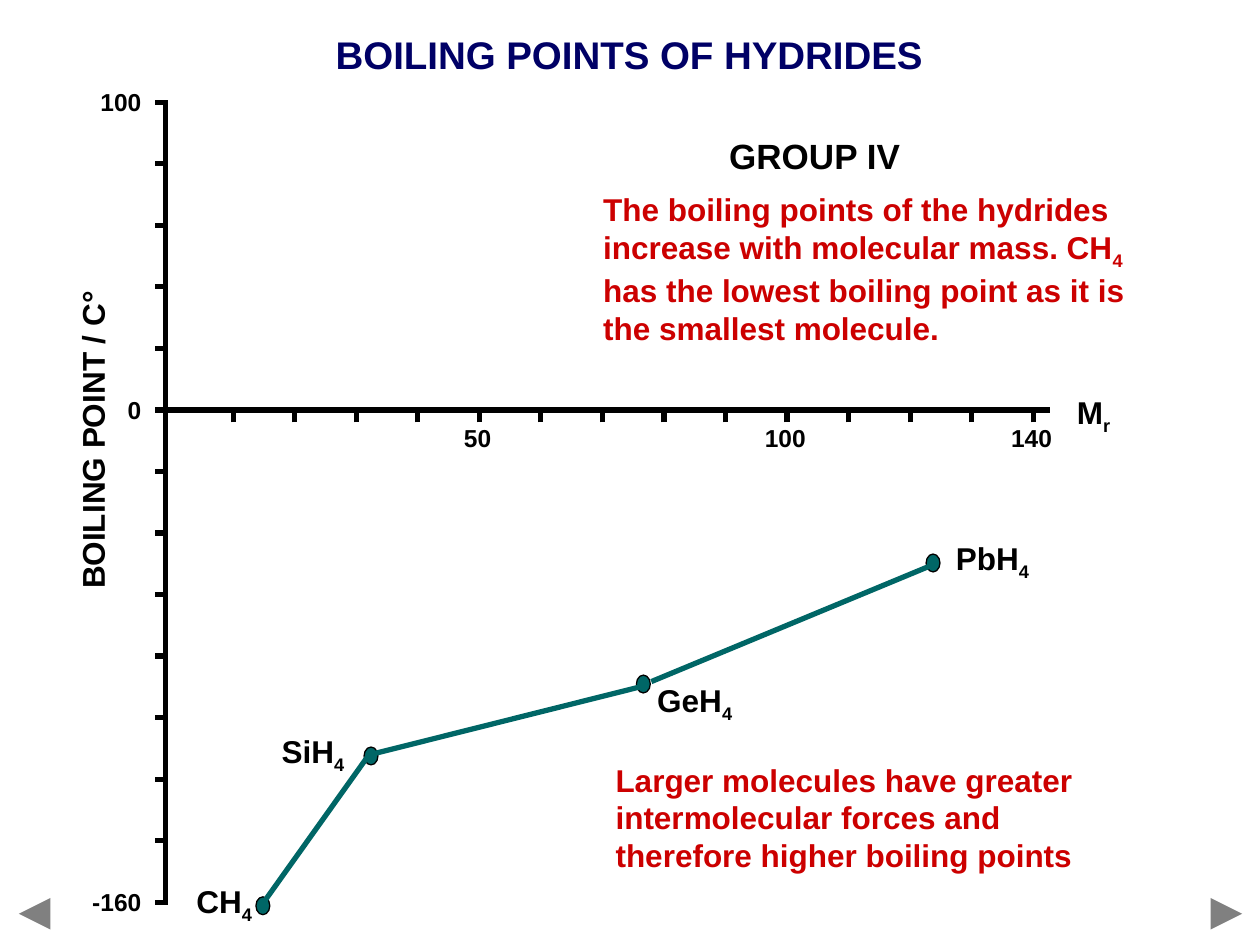
from dataclasses import dataclass

from lxml import etree
from pptx import Presentation
from pptx import util as u
from pptx.dml.color import RGBColor
from pptx.enum import shapes, text
from pptx.oxml.ns import qn

Cm, Pt = u.Cm, u.Pt
ALIGN = text.PP_ALIGN


@dataclass(frozen=True)
class Theme:
    font: str = "Arial"
    title: str = "000066"
    ink: str = "000000"
    note: str = "CC0000"
    series: str = "006666"
    arrow: str = "808080"
    title_size: int = 22
    heading_size: int = 20
    body_size: int = 18
    tick_size: int = 14
    line_width: int = 3
    arrow_width: int = 6


THEME = Theme()

# Label, label offset and width, alignment, marker centre (cm inside the plot)
HYDRIDES = [
    ("CH_4_", (-0.03, 15.59), 2.03, ALIGN.RIGHT, (1.97, 16.2)),
    ("SiH_4_", (1.83, 12.57), 2.03, ALIGN.RIGHT, (4.15, 13.18)),
    ("GeH_4_", (9.67, 11.55), 2.36, ALIGN.LEFT, (9.64, 11.73)),
    ("PbH_4_", (15.69, 8.68), 2.36, ALIGN.LEFT, (15.48, 9.29)),
]
SEGMENTS = [
    ((1.9, 16.25), (4.09, 13.18)),
    ((4.14, 13.15), (9.6, 11.78)),
    ((9.8, 11.68), (15.44, 9.34)),
]


def add_text(parent, box, wording, size, color, align=ALIGN.LEFT):
    """Bold text; parts between underscores are subscripts."""
    shape = parent.add_textbox(*(Cm(value) for value in box))
    frame = shape.text_frame
    frame.word_wrap = True
    frame.auto_size = text.MSO_AUTO_SIZE.SHAPE_TO_FIT_TEXT
    paragraph = frame.paragraphs[0]
    paragraph.alignment = align
    for index, part in enumerate(wording.split("_")):
        if not part:
            continue
        run = paragraph.add_run()
        run.text = part
        run.font.name = THEME.font
        run.font.size = Pt(size)
        run.font.bold = True
        run.font.color.rgb = RGBColor.from_string(color)
        if index % 2:
            run.font._element.set("baseline", "-25000")
    return shape


def add_line(parent, start, end, color, width=THEME.line_width, arrow=False):
    points = [Cm(value) for value in (*start, *end)]
    line = parent.add_connector(shapes.MSO_CONNECTOR.STRAIGHT, *points)
    line.line.color.rgb = RGBColor.from_string(color)
    line.line.width = Pt(width)
    if arrow:
        etree.SubElement(line.line._get_or_add_ln(), qn("a:tailEnd"), type="triangle")
    etree.SubElement(line._element.spPr, qn("a:effectLst"))


def add_series(parent, box):
    left, top, _, _ = box
    width, height = 0.28, 0.36
    for *_, (x, y) in HYDRIDES:
        marker = parent.add_shape(
            shapes.MSO_SHAPE.OVAL, Cm(left + x - width / 2),
            Cm(top + y - height / 2), Cm(width), Cm(height))
        marker.shadow.inherit = False
        marker.fill.solid()
        marker.fill.fore_color.rgb = RGBColor.from_string(THEME.series)
        marker.line.color.rgb = RGBColor.from_string(THEME.ink)
        marker.line.width = Pt(0.75)
    for start, end in SEGMENTS:
        add_line(parent, (left + start[0], top + start[1]),
                 (left + end[0], top + end[1]), THEME.series)


def add_axes(parent, box):
    left, top, width, height = box
    step = height / 13  # 20 degrees upwards, 10 mass units across
    zero = top + 5 * step
    first_mass = left + 1.37

    # Axis lines and tick marks
    add_line(parent, (left, top), (left, top + height + 0.05), THEME.ink)
    add_line(parent, (left + width, zero), (left + 0.05, zero), THEME.ink)
    for index in range(14):
        y = top + index * step
        add_line(parent, (left + 0.05, y), (left - 0.2, y), THEME.ink)
    for index in range(14):
        x = first_mass + index * step
        add_line(parent, (x, zero + 0.25), (x, zero), THEME.ink)

    # Axis titles
    add_text(parent, (left + 18.13, zero - 0.46, 1.47, 1.12), "M_r_",
             THEME.body_size, THEME.ink)
    title = add_text(parent, (left - 5.11, top + 6.3, 7.29, 1.02),
                     "BOILING POINT / C°", THEME.body_size, THEME.ink, ALIGN.CENTER)
    title.rotation = 270

    # Axis values
    for value in (100, 0, -160):
        y = top + (100 - value) / 20 * step
        add_text(parent, (left - 1.91, y - 0.43, 1.68, 0.86), str(value),
                 THEME.tick_size, THEME.ink, ALIGN.RIGHT)
    for value in (140, 50, 100):
        x = first_mass + (value / 10 - 1) * step
        add_text(parent, (x - 0.77, zero + 0.13, 1.47, 0.86), str(value),
                 THEME.tick_size, THEME.ink, ALIGN.CENTER)


def add_point_labels(parent, box):
    left, top, _, _ = box
    for wording, (x, y), width, align, _ in HYDRIDES:
        add_text(parent, (left + x, top + y, width, 1.12), wording,
                 THEME.body_size, THEME.ink, align)


def add_notes(parent, box):
    left, top, width, _ = box
    add_text(parent, (left + 2.54, top, 4.47, 1.12), "GROUP IV",
             THEME.heading_size, THEME.ink)
    add_text(parent, (left, top + 1.12, width, 3.4),
             "The boiling points of the hydrides increase with molecular mass. "
             "CH_4_ has the lowest boiling point as it is the smallest molecule.",
             THEME.body_size, THEME.note)
    add_text(parent, (left + 0.25, top + 12.62, width - 0.25, 2.54),
             "Larger molecules have greater intermolecular forces and "
             "therefore higher boiling points", THEME.body_size, THEME.note)


def add_navigation(parent, box):
    left, top, width, _ = box
    length = 0.53
    for tip, direction in ((left + width, 1), (left, -1)):
        add_line(parent, (tip - direction * length, top), (tip, top),
                 THEME.arrow, THEME.arrow_width, arrow=True)


def main():
    presentation = Presentation()
    presentation.slide_width, presentation.slide_height = Cm(25.4), Cm(19.05)
    slide = presentation.slides.add_slide(presentation.slide_layouts[6])
    plot = (3.33, 2.06, 17.83, 16.13)

    add_navigation(slide.shapes, (0.38, 18.42, 24.66, 0))
    add_text(slide.shapes, (4.01, 0.51, 17.35, 1.19), "BOILING POINTS OF HYDRIDES",
             THEME.title_size, THEME.title, ALIGN.CENTER)
    add_series(slide.shapes.add_group_shape().shapes, plot)
    add_axes(slide.shapes.add_group_shape().shapes, plot)
    add_point_labels(slide.shapes, plot)
    add_notes(slide.shapes, (11.91, 2.59, 11.02, 15.16))
    presentation.save("out.pptx")


if __name__ == "__main__":
    main()
